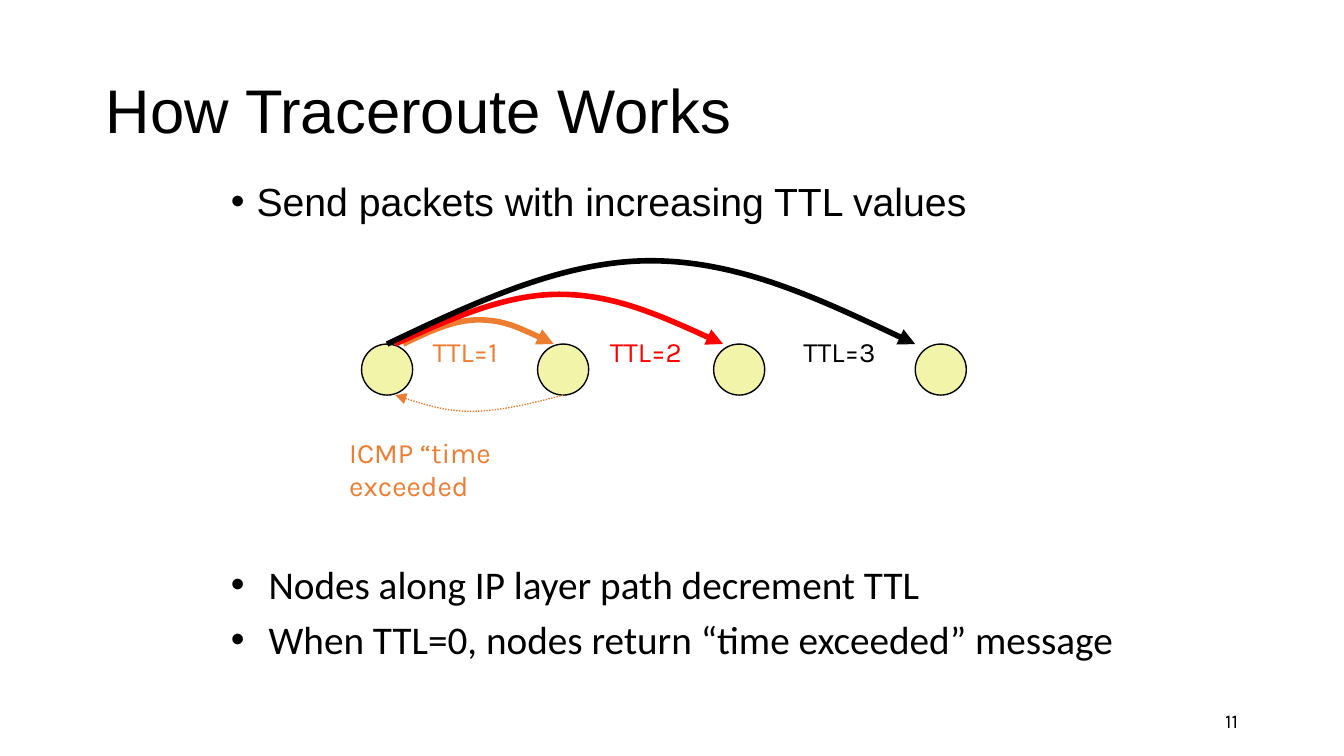
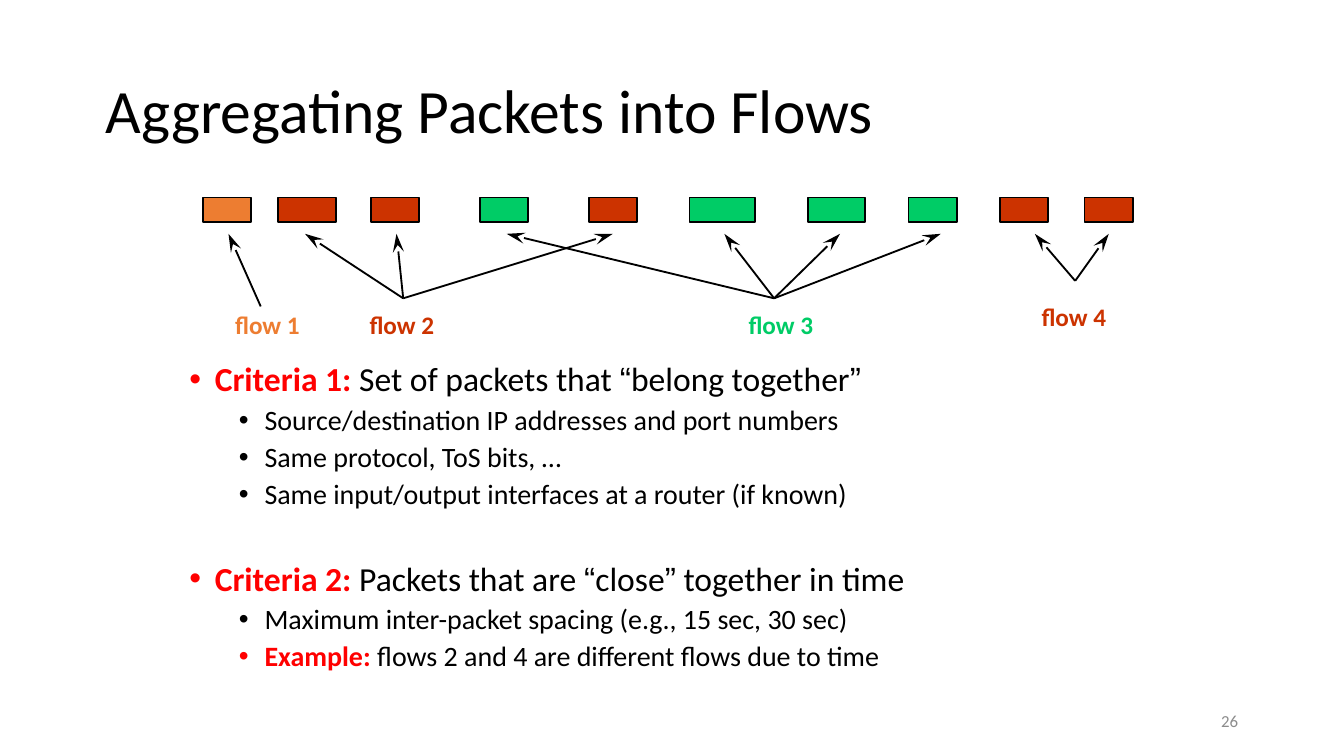
"""Build two slides on traceroute and on grouping packets into flows."""
from itertools import groupby

from lxml.etree import SubElement
from pptx import Presentation
from pptx.dml.color import RGBColor
from pptx.enum.dml import MSO_LINE
from pptx.enum.shapes import MSO_CONNECTOR, MSO_SHAPE
from pptx.enum.text import MSO_ANCHOR, MSO_AUTO_SIZE, PP_ALIGN
from pptx.oxml.ns import qn
from pptx.util import Inches, Pt

BLACK = RGBColor(0x00, 0x00, 0x00)
GRAY = RGBColor(0x8C, 0x8C, 0x8C)
RED = RGBColor(0xFF, 0x00, 0x00)
ORANGE = RGBColor(0xED, 0x7D, 0x31)
RUST = RGBColor(0xCC, 0x33, 0x00)
GREEN = RGBColor(0x00, 0xCC, 0x66)
CREAM = RGBColor(0xF2, 0xF4, 0xAA)

NODE_LEFTS = (2.69, 4, 5.31, 6.81)
NODE_TOP, NODE_SIZE = 2.56, 0.38
HOPS = [
    ("TTL=1", ORANGE, 3.12, (3, 2.56), (3.56, 2.38), (4.12, 2.56)),
    ("TTL=2", RED, 4.44, (2.94, 2.56), (4.16, 2.19), (5.38, 2.56)),
    ("TTL=3", BLACK, 5.88, (2.88, 2.56), (4.84, 1.94), (6.81, 2.56)),
]
REPLY_ARC = ((4.19, 2.94), (3.5, 3.06), (2.94, 2.94))
TTL_RULES = [
    "Nodes along IP layer path decrement TTL",
    "When TTL=0, nodes return “time exceeded” message",
]

PACKET_TOP, PACKET_HEIGHT, TIP_TOP = 1.47, 0.18, 1.74
FLOWS = [
    ("flow 1", ORANGE, (1.67, 2.26), (1.94, 2.28), [(1.51, 0.36, 1.7)]),
    ("flow 2", RUST, (2.67, 2.26), (3, 2.22),
     [(2.07, 0.43, 2.27), (2.76, 0.36, 2.95), (4.38, 0.36, 4.56)]),
    ("flow 3", GREEN, (5.49, 2.26), (5.76, 2.22),
     [(3.57, 0.36, 3.77), (5.13, 0.49, 5.39), (6.01, 0.43, 6.25), (6.76, 0.36, 7)]),
    ("flow 4", RUST, (7.67, 2.2), (8, 2.09), [(7.44, 0.36, 7.7), (8.07, 0.36, 8.25)]),
]
CRITERIA = [
    (0, "Criteria 1:", " Set of packets that “belong together”"),
    (1, "", "Source/destination IP addresses and port numbers"),
    (1, "", "Same protocol, ToS bits, …"),
    (1, "", "Same input/output interfaces at a router (if known)"),
    (0, "Criteria 2:", " Packets that are “close” together in time"),
    (1, "", "Maximum inter-packet spacing (e.g., 15 sec, 30 sec)"),
    (1, "Example:", " flows 2 and 4 are different flows due to time"),
]
LEVELS = [(18, 0.19, 27.5), (15, 0.56, 3.75)]


def add_box(page, place):
    box = page.shapes.add_textbox(*map(Inches, place))
    box.text_frame.word_wrap = True
    return box.text_frame


def add_span(para, text, size, font, colour, bold=False):
    span = para.add_run()
    span.text = text
    span.font.size = Pt(size)
    span.font.name = font
    span.font.color.rgb = colour
    span.font.bold = bold


def add_label(page, place, text, size, font, colour, bold=False):
    frame = add_box(page, place)
    add_span(frame.paragraphs[0], text, size, font, colour, bold)
    return frame


def set_bullet(para, indent, hanging):
    properties = para._p.get_or_add_pPr()
    properties.set("marL", str(Inches(indent)))
    properties.set("indent", str(-Inches(hanging)))
    SubElement(properties, qn("a:buFont"), typeface="Arial")
    SubElement(properties, qn("a:buChar"), char="•")


def start_page(deck, title, title_font, number, number_size, number_font, number_colour):
    page = deck.slides.add_slide(deck.slide_layouts[6])
    heading = add_label(page, (0.69, 0.3, 8.62, 1.09), title, 33, title_font, BLACK)
    heading.paragraphs[0].line_spacing = 0.9
    footer = add_label(page, (7.06, 5.21, 2.25, 0.3), number,
                       number_size, number_font, number_colour)
    footer.paragraphs[0].alignment = PP_ALIGN.RIGHT
    for frame in (heading, footer):
        frame.vertical_anchor = MSO_ANCHOR.MIDDLE
    return page


def add_filled(page, preset, place, fill, line_width):
    shape = page.shapes.add_shape(preset, *map(Inches, place))
    shape.shadow.inherit = False
    shape.fill.solid()
    shape.fill.fore_color.rgb = fill
    shape.line.color.rgb = BLACK
    shape.line.width = Pt(line_width)


def add_arc(page, start, apex, end, colour, width):
    """Draw an arrow of two cubic curves that meet level at the apex."""
    def between(first, last, part):
        return first + (last - first) * part

    points = [
        (between(start[0], apex[0], 1 / 3), between(start[1], apex[1], 1 / 2)),
        (between(start[0], apex[0], 2 / 3), apex[1]),
        apex,
        (between(apex[0], end[0], 1 / 3), apex[1]),
        (between(apex[0], end[0], 2 / 3), between(apex[1], end[1], 1 / 2)),
        end,
    ]
    builder = page.shapes.build_freeform(*map(Inches, start))
    builder.add_line_segments([(Inches(x), Inches(y)) for x, y in points], close=False)
    arc = builder.convert_to_shape()
    outline = next(arc._element.iter(qn("a:path")))
    segments = outline.findall(qn("a:lnTo"))
    for first in (0, 3):
        curve = SubElement(outline, qn("a:cubicBezTo"))
        for segment in segments[first:first + 3]:
            curve.append(segment[0])
            outline.remove(segment)
    arc.shadow.inherit = False
    arc.fill.background()
    arc.line.color.rgb = colour
    arc.line.width = Pt(width)
    return arc


def add_arrowhead(line, end, kind, length="med"):
    SubElement(line.get_or_add_ln(), qn(end), type=kind, len=length)


def build_traceroute(deck):
    page = start_page(deck, "How Traceroute Works", "Arial", "11", 10.5, "Karla", BLACK)
    intro = add_label(page, (1.62, 1.31, 6.75, 0.5),
                      "Send packets with increasing TTL values", 21, "Arial", BLACK)
    intro.paragraphs[0].line_spacing = 0.9
    set_bullet(intro.paragraphs[0], 0.19, 0.19)
    reply = add_label(page, (2.5, 3.19, 1.25, 0.61), "ICMP “time exceeded", 15, "Karla", ORANGE)
    reply.auto_size = MSO_AUTO_SIZE.SHAPE_TO_FIT_TEXT

    for left in NODE_LEFTS:
        add_filled(page, MSO_SHAPE.OVAL, (left, NODE_TOP, NODE_SIZE, NODE_SIZE), CREAM, 0.75)
    for name, colour, left, start, apex, end in HOPS:
        arc = add_arc(page, start, apex, end, colour, 3)
        add_arrowhead(arc, "a:tailEnd", "triangle")
        label = add_label(page, (left, 2.44, 0.81, 0.35), name, 15, "Karla", colour)
        label.auto_size = MSO_AUTO_SIZE.SHAPE_TO_FIT_TEXT
    arc = add_arc(page, *REPLY_ARC, ORANGE, 0.75)
    arc.line.dash_style = MSO_LINE.ROUND_DOT
    add_arrowhead(arc, "a:tailEnd", "triangle")

    rules = add_box(page, (1.62, 4.12, 7.12, 0.5))
    for index, text in enumerate(TTL_RULES):
        para = rules.add_paragraph() if index else rules.paragraphs[0]
        if index:
            para.space_before = Pt(4.2)
        set_bullet(para, 0.28, 0.28)
        add_span(para, text, 21, "Calibri", BLACK)


def build_flows(deck):
    page = start_page(deck, "Aggregating Packets into Flows", "Calibri",
                      "26", 9, "Calibri", GRAY)
    criteria = add_box(page, (1.31, 2.65, 7.35, 3.35))
    for index, (level, lead, text) in enumerate(CRITERIA):
        size, indent, gap = LEVELS[level]
        para = criteria.add_paragraph() if index else criteria.paragraphs[0]
        para.level = level
        para.line_spacing = 0.9
        if index:
            para.space_before = Pt(gap)
        set_bullet(para, indent, 0.19)
        if lead:
            add_span(para, lead, size, "Calibri", RED, True)
        for quoted, letters in groupby(text, key=lambda letter: letter in "“”"):
            add_span(para, "".join(letters), size, "Arial" if quoted else "Calibri", BLACK)

    for name, colour, label_corner, hub, packets in FLOWS:
        for left, width, tip in packets:
            add_filled(page, MSO_SHAPE.RECTANGLE,
                       (left, PACKET_TOP, width, PACKET_HEIGHT), colour, 1)
            arrow = page.shapes.add_connector(
                MSO_CONNECTOR.STRAIGHT, *map(Inches, (tip, TIP_TOP, *hub)))
            arrow.line.color.rgb = BLACK
            arrow.line.width = Pt(1)
            add_arrowhead(arrow, "a:headEnd", "stealth", "lg")
            SubElement(arrow._element.spPr, qn("a:effectLst"))
        label = add_label(page, (*label_corner, 0.69, 0.3), name, 13.5, "Calibri", colour, True)
        label.word_wrap = False
        label.auto_size = MSO_AUTO_SIZE.SHAPE_TO_FIT_TEXT
        label.margin_left = label.margin_right = Inches(0.08)
        label.margin_top = label.margin_bottom = Inches(0.04)


def main():
    deck = Presentation()
    deck.slide_width = Inches(10)
    deck.slide_height = Inches(10) * 9 // 16
    build_traceroute(deck)
    build_flows(deck)
    deck.save("out.pptx")


if __name__ == "__main__":
    main()
